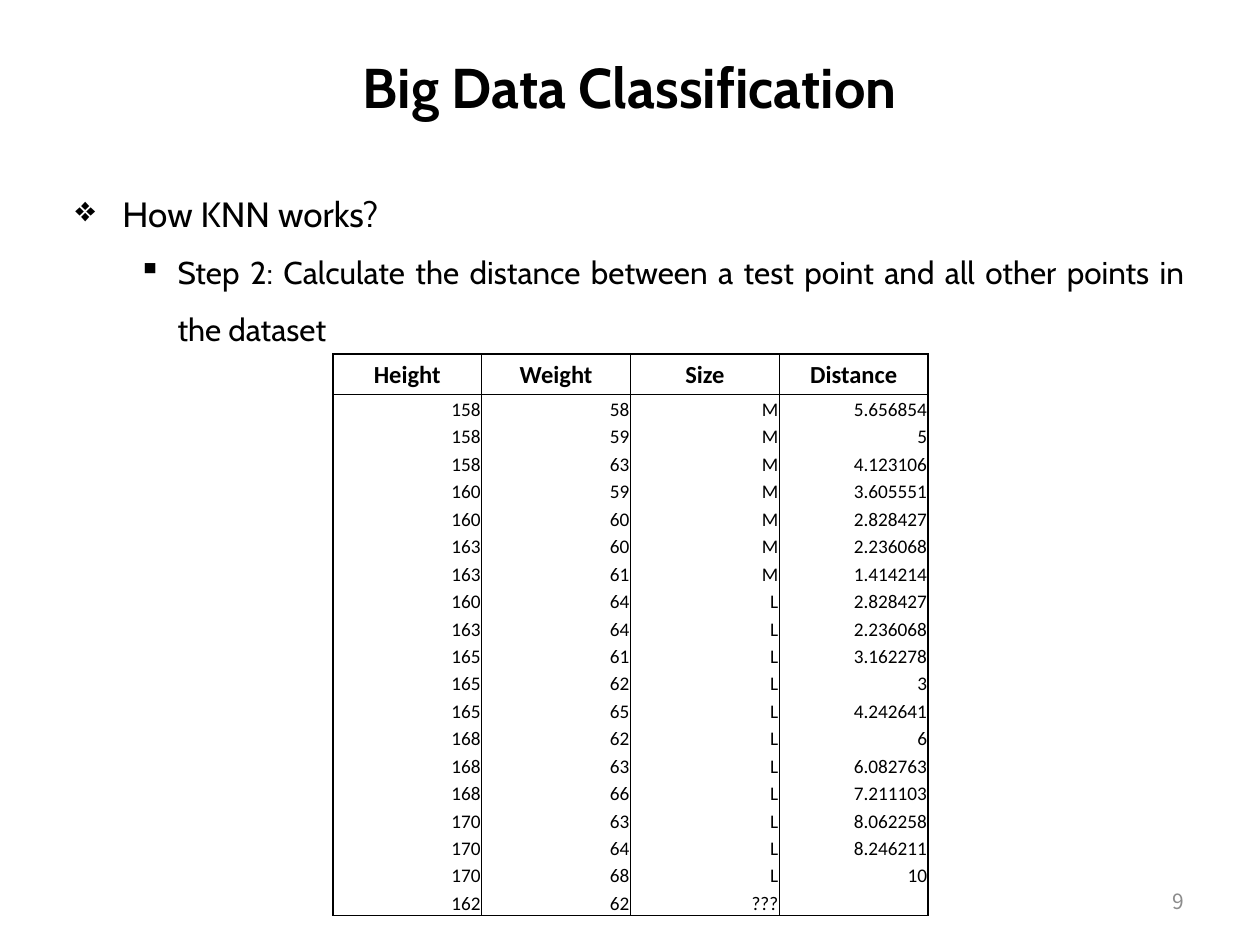
from lxml import etree
from pptx import Presentation
from pptx import util as u
from pptx.dml import color
from pptx.enum import text
from pptx.oxml import ns

BLACK, WHITE, GREY = "000000", "FFFFFF", "8C8C8C"
ALIGN, ANCHOR = text.PP_ALIGN, text.MSO_ANCHOR

HEADINGS = ("Height", "Weight", "Size", "Distance")
SAMPLES = (
    (158, 58, "M", "5.656854"), (158, 59, "M", "5"), (158, 63, "M", "4.123106"),
    (160, 59, "M", "3.605551"), (160, 60, "M", "2.828427"), (163, 60, "M", "2.236068"),
    (163, 61, "M", "1.414214"), (160, 64, "L", "2.828427"), (163, 64, "L", "2.236068"),
    (165, 61, "L", "3.162278"), (165, 62, "L", "3"), (165, 65, "L", "4.242641"),
    (168, 62, "L", "6"), (168, 63, "L", "6.082763"), (168, 66, "L", "7.211103"),
    (170, 63, "L", "8.062258"), (170, 64, "L", "8.246211"), (170, 68, "L", "10"),
    (162, 62, "\N{NO-BREAK SPACE}???", ""),
)


def rgb(value):
    return color.RGBColor.from_string(value)


def write(para, words, size, font, align, ink=BLACK, bold=False):
    para.text = words
    para.alignment = align
    para.font.size = u.Pt(size)
    para.font.name = font
    para.font.bold = bold
    para.font.color.rgb = rgb(ink)


def add_frame(page, box, anchor):
    frame = page.shapes.add_textbox(*map(u.Cm, box)).text_frame
    frame.word_wrap = True
    frame.vertical_anchor = anchor
    return frame


def add_line(page, box, words, size, font, align, ink=BLACK, bold=False):
    frame = add_frame(page, box, ANCHOR.MIDDLE)
    write(frame.paragraphs[0], words, size, font, align, ink, bold)


def set_bullet(para, symbol, left, hanging):
    props = para._p.get_or_add_pPr()
    props.set("marL", str(u.Cm(left)))
    props.set("indent", str(-u.Cm(hanging)))
    bullet = etree.Element(ns.qn("a:buChar"), char=symbol)
    props.find(ns.qn("a:defRPr")).addprevious(bullet)


def add_outline(page, box):
    frame = add_frame(page, box, ANCHOR.TOP)
    points = (
        ("How KNN works?", 20, "❖", 0.95, 0.95),
        ("Step 2: Calculate the distance between a test point and all other "
         "points in the dataset", 18, "▪", 2.06, 0.79),
    )
    for level, (words, size, symbol, left, hanging) in enumerate(points):
        para = frame.add_paragraph() if level else frame.paragraphs[0]
        write(para, words, size, "Cabin", ALIGN.JUSTIFY)
        para.level = level
        para.line_spacing = 1.5
        set_bullet(para, symbol, left, hanging)


def set_borders(cell, sides):
    """Draw the named sides (L, R, T, B) in black and clear the others."""
    props = cell._tc.get_or_add_tcPr()
    for side in "LRTB":
        line = etree.SubElement(props, ns.qn(f"a:ln{side}"), w=str(u.Pt(1)))
        if side in sides:
            fill = etree.SubElement(line, ns.qn("a:solidFill"))
            etree.SubElement(fill, ns.qn("a:srgbClr"), val=BLACK)
        else:
            etree.SubElement(line, ns.qn("a:noFill"))


def fill_cell(cell, value, is_header, sides):
    cell.margin_left = cell.margin_right = cell.margin_top = u.Cm(0.02)
    cell.margin_bottom = 0
    set_borders(cell, sides)
    para = cell.text_frame.paragraphs[0]
    if is_header:
        cell.vertical_anchor = ANCHOR.MIDDLE
        cell.fill.background()
        write(para, value, 14, "Calibri", ALIGN.CENTER, bold=True)
    else:
        cell.vertical_anchor = ANCHOR.BOTTOM
        cell.fill.solid()
        cell.fill.fore_color.rgb = rgb(WHITE)
        write(para, str(value), 11, "Calibri", ALIGN.RIGHT)
    if value == "":
        # An empty cell takes its height from the paragraph end mark
        etree.SubElement(para._p, ns.qn("a:endParaRPr"), sz="1100")


def add_distances(page, box, header_height=0.81):
    width, height = box[2:]
    rows = (HEADINGS, *SAMPLES)
    table = page.shapes.add_table(len(rows), len(HEADINGS), *map(u.Cm, box)).table
    table.first_row = table.horz_banding = False
    for column in table.columns:
        column.width = u.Cm(width / len(HEADINGS))
    for index, values in enumerate(rows):
        is_header = index == 0
        sample_height = (height - header_height) / len(SAMPLES)
        table.rows[index].height = u.Cm(header_height if is_header else sample_height)
        sides = "LR" + ("T" if index < 2 else "") + ("B" if index in (0, len(SAMPLES)) else "")
        for place, value in enumerate(values):
            fill_cell(table.cell(index, place), value, is_header, sides)


def main():
    deck = Presentation()
    deck.slide_width, deck.slide_height = u.Cm(25.4), u.Cm(19.05)
    page = deck.slides.add_slide(deck.slide_layouts[6])

    # Title
    add_line(page, (1.27, 0.76, 22.86, 1.96), "Big Data Classification",
             32, "Cabin", ALIGN.CENTER, bold=True)
    # Outline
    add_outline(page, (1.27, 3.33, 22.86, 14.81))
    # Page number
    add_line(page, (18.21, 17.65, 5.92, 1.02), "9",
             12, "Noto Sans CJK KR", ALIGN.RIGHT, GREY)
    # Table of distances
    add_distances(page, (6.71, 7.14, 12, 11.33))

    deck.save("out.pptx")


if __name__ == "__main__":
    main()
